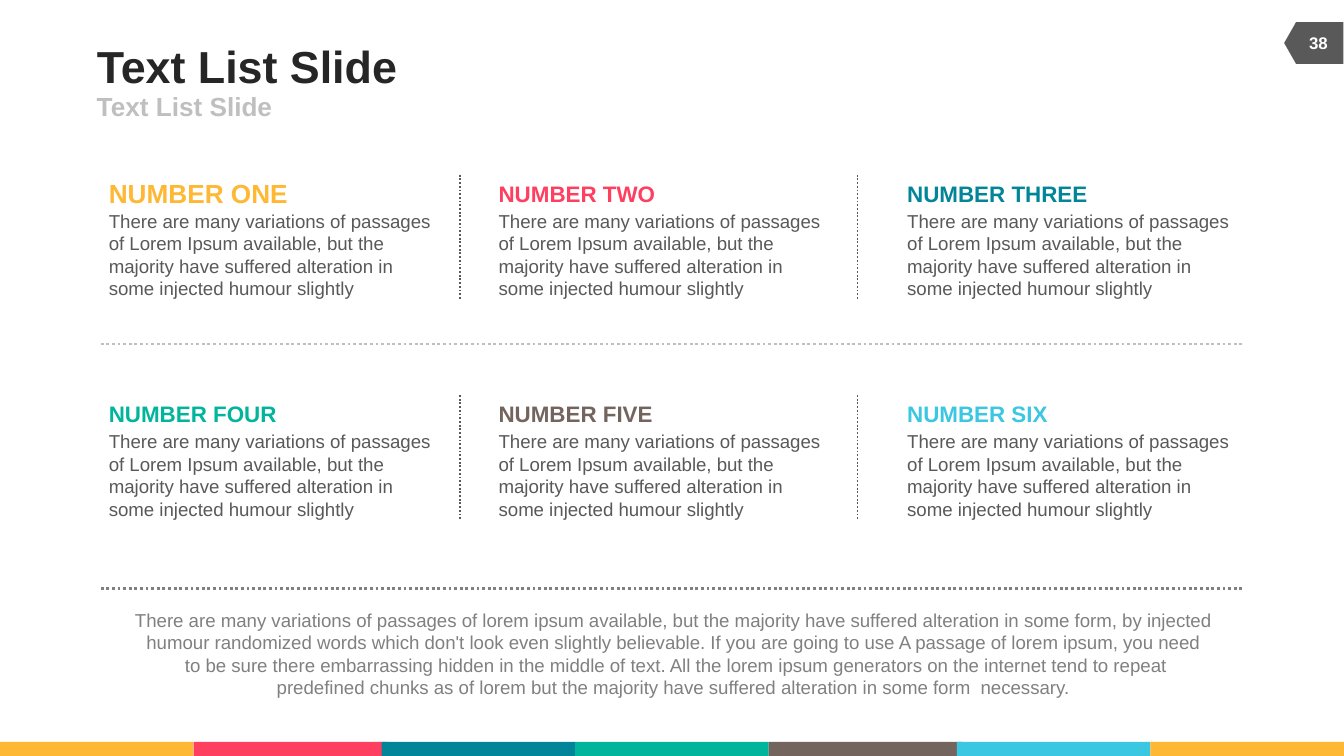
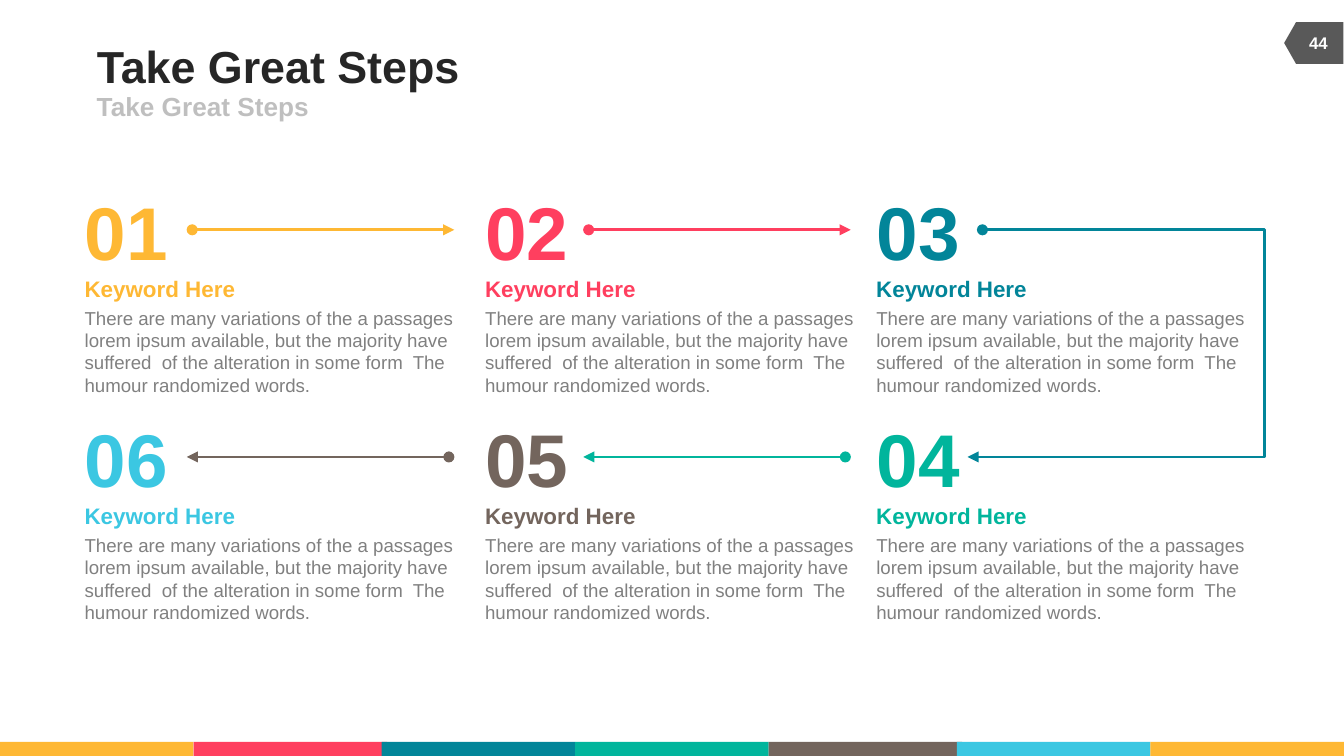
from lxml.etree import SubElement
from pptx import Presentation
from pptx.dml.color import RGBColor
from pptx.enum.dml import MSO_LINE
from pptx.enum.shapes import MSO_CONNECTOR, MSO_SHAPE
from pptx.enum.text import MSO_ANCHOR, MSO_AUTO_SIZE, PP_ALIGN
from pptx.oxml.ns import qn
from pptx.util import Inches, Pt

rgb = RGBColor.from_string

# Shared colours
YELLOW, PINK, BLUE = "FEB834", "FF3F5F", "028599"
GREEN, BROWN, CYAN = "01B59C", "73655D", "3BC7E2"
COLORS = [YELLOW, PINK, BLUE, GREEN, BROWN, CYAN]
INK, DARK, MID, LIGHT, WHITE = "262626", "595959", "808080", "BFBFBF", "FFFFFF"


def write(s, text, x, y, w, h, size=10, color=MID, bold=False, wrap=True,
          align=PP_ALIGN.LEFT, anchor=MSO_ANCHOR.MIDDLE, inset=0, sp=None):
    """Put formatted text in a new text box, or in the given placeholder."""
    box = [Inches(v) for v in (x, y, w, h)]
    if sp is None:
        sp = s.shapes.add_textbox(*box)
    sp.left, sp.top, sp.width, sp.height = box
    tf = sp.text_frame
    tf.word_wrap = wrap
    tf.auto_size = MSO_AUTO_SIZE.NONE
    tf.vertical_anchor = anchor
    tf.margin_left = tf.margin_right = Inches(inset)
    tf.margin_top = tf.margin_bottom = Inches(inset / 2)
    p = tf.paragraphs[0]
    p.text = text
    p.alignment = align
    for r in p.runs:
        r.font.name, r.font.size, r.font.bold = "Arial", Pt(size), bold
        r.font.color.rgb = rgb(color)
    for br in p._p.findall(qn("a:br")):
        SubElement(br, qn("a:rPr"), sz=str(size * 100))


def connect(s, x1, y1, x2, y2, color, width=1.5, dotted=False,
            head=None, tail=None, kind=MSO_CONNECTOR.STRAIGHT):
    """Draw a line with optional dots and line ends."""
    c = s.shapes.add_connector(kind, *[Inches(v) for v in (x1, y1, x2, y2)])
    c.line.color.rgb = rgb(color)
    c.line.width = Pt(width)
    if dotted:
        c.line.dash_style = MSO_LINE.ROUND_DOT
    spPr = c._element.spPr
    ln = spPr.find(qn("a:ln"))
    for tag, end in (("a:headEnd", head), ("a:tailEnd", tail)):
        if end:
            SubElement(ln, qn(tag), type=end)
    SubElement(spPr, qn("a:effectLst"))
    return c


# Slide size: 16 to 9
prs = Presentation()
prs.slide_width = Inches(10)
prs.slide_height = prs.slide_width * 9 // 16

# Frame of both slides: colour band, page tag, title and subtitle
slides = []
for title, page in (("Text List Slide", "38"), ("Take Great Steps", "44")):
    s = prs.slides.add_slide(prs.slide_layouts[5])
    slides.append(s)
    shapes = [(MSO_SHAPE.RECTANGLE, x, 5.52, 1.44, 0.11, color) for x, color in
              zip((0, 1.44, 2.84, 4.28, 5.72, 7.12, 8.56), COLORS + [YELLOW])]
    shapes.append((MSO_SHAPE.FLOWCHART_OFFPAGE_CONNECTOR, 9.62, 0.1, 0.31, 0.44, DARK))
    for kind, x, y, w, h, color in shapes:
        sp = s.shapes.add_shape(kind, Inches(x), Inches(y), Inches(w), Inches(h))
        sp.shadow.inherit = False
        sp.fill.solid()
        sp.fill.fore_color.rgb = rgb(color)
        sp.line.fill.background()
    sp.rotation = 90  # the page tag comes last
    write(s, title, 0.72, 0.29, 6.17, 0.39, size=24, color=INK, bold=True,
          wrap=False, sp=s.shapes.title)
    write(s, title, 0.72, 0.68, 4.5, 0.22, size=14, color=LIGHT, bold=True, wrap=False)
    write(s, page, 9.6, 0.17, 0.42, 0.3, size=9, color=WHITE, bold=True,
          align=PP_ALIGN.CENTER, inset=0.1)
text_list, steps = slides

# Text list: six items in a grid of three by two
ITEM = ("There are many variations of passages of Lorem Ipsum available, but the "
        "majority have suffered alteration in some injected humour slightly")
items = [("ONE", 1.34), ("TWO", 1.18), ("THREE", 1.35),
         ("FOUR", 1.26), ("FIVE", 1.16), ("SIX", 1.06)]
for i, (number, width) in enumerate(items):
    row, col = divmod(i, 3)
    x, top = (0.81, 3.71, 6.75)[col], 1.3 + 1.64 * row
    write(text_list, f"NUMBER {number}", x, top + 0.04, width, 0.2,
          size=12 if i else 14, color=COLORS[i], bold=True, wrap=False)
    write(text_list, ITEM, x, top + 0.26, 2.41, 0.67, color=DARK)
    if col < 2:
        divider = (3.42, 6.38)[col]
        connect(text_list, divider, top, divider, top + 0.93, DARK, width=1, dotted=True)

# Text list: rules and closing paragraph
for y, color in ((2.56, LIGHT), (4.38, MID)):
    connect(text_list, 0.75, y, 9.25, y, color, dotted=True)
write(text_list,
      "There are many variations of passages of lorem ipsum available, but the majority "
      "have suffered alteration in some form, by injected humour randomized words which "
      "don't look even slightly believable. If you are going to use A passage of lorem "
      "ipsum, you need\n to be sure there embarrassing hidden in the middle of text. All "
      "the lorem ipsum generators on the internet tend to repeat\npredefined chunks as of "
      "lorem but the majority have suffered alteration in some form  necessary.",
      0.76, 4.53, 8.49, 0.67, align=PP_ALIGN.CENTER, anchor=MSO_ANCHOR.TOP)

# Steps: the second row runs from right to left
STEP = ("There are many variations of the a passages lorem ipsum available, but the "
        "majority have suffered  of the alteration in some form  The humour randomized words.")
for i, color in enumerate(COLORS):
    row, col = divmod(i, 3)
    x = (0.63, 3.61, 6.52)[2 - col if row else col]
    top = 1.38 + 1.69 * row
    write(steps, f"{i + 1:02}", x, top, 0.62, 0.67, size=40, color=color, bold=True,
          wrap=False, align=PP_ALIGN.CENTER, anchor=MSO_ANCHOR.TOP)
    write(steps, STEP, x, top + 0.9, 2.75, 0.67, anchor=MSO_ANCHOR.TOP)
    write(steps, "Keyword Here", x, top + 0.67, 1.13, 0.2, size=12, color=color,
          bold=True, wrap=False)

# Steps: arrows between the numbers
ARROW = 1.95
for start, y, length, color, tail in (
        (1.43, 1.71, ARROW, YELLOW, "triangle"), (4.38, 1.71, ARROW, PINK, "triangle"),
        (7.31, 1.71, ARROW, BLUE, None),
        (6.29, 3.4, -ARROW, GREEN, "triangle"), (3.34, 3.4, -ARROW, BROWN, "triangle")):
    connect(steps, start, y, start + length, y, color, head="oval", tail=tail)

# Steps: bent arrow from 03 down to 04
bend = connect(steps, 9.26, 1.71, 7.2, 3.4, BLUE, tail="triangle", kind=MSO_CONNECTOR.ELBOW)
guides = bend._element.spPr.find(qn("a:prstGeom")).find(qn("a:avLst"))
SubElement(guides, qn("a:gd"), name="adj1", fmla="val -7250")

prs.save("out.pptx")
